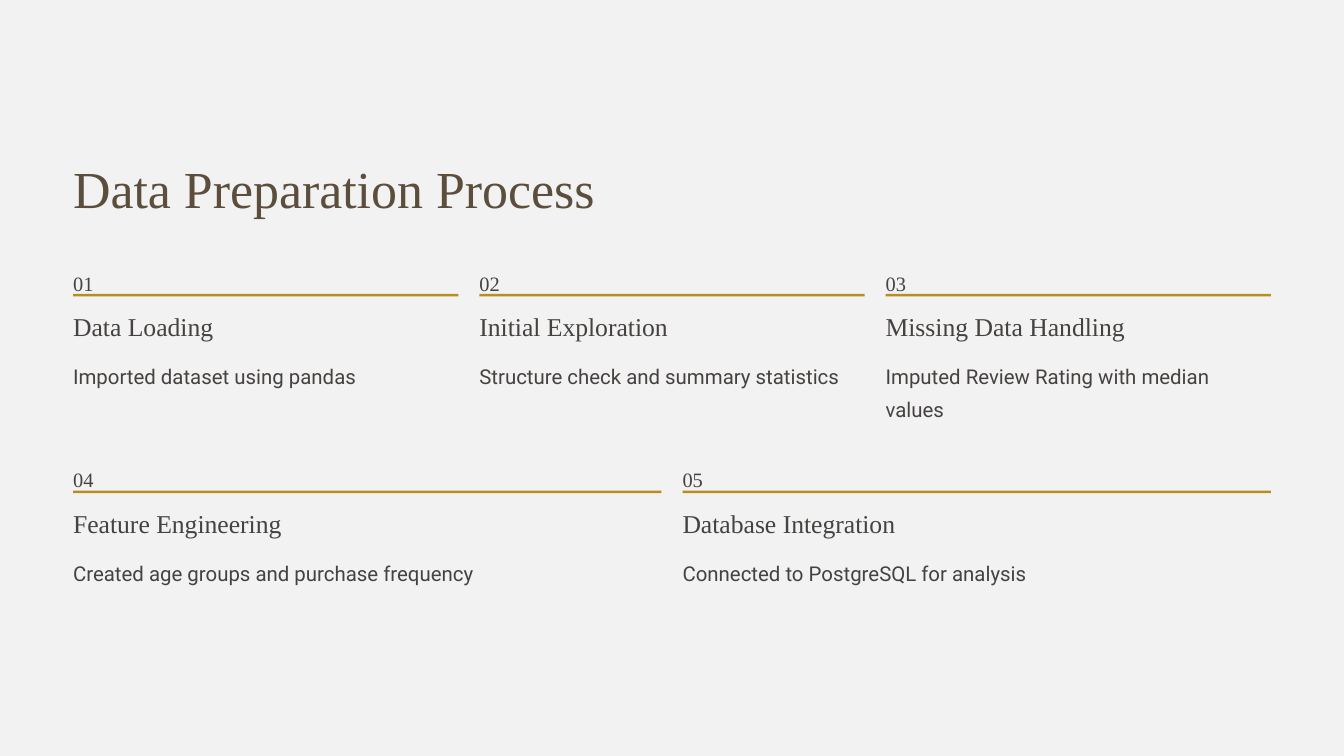
from pptx import Presentation
from pptx.dml.color import RGBColor
from pptx.enum.shapes import MSO_SHAPE
from pptx.enum.text import MSO_ANCHOR, MSO_AUTO_SIZE, PP_ALIGN
from pptx.util import Inches, Pt

TITLE = "Data Preparation Process"
ROWS = [
    [("01", "Data Loading", "Imported dataset using pandas"),
     ("02", "Initial Exploration", "Structure check and summary statistics"),
     ("03", "Missing Data Handling", "Imputed Review Rating with median values")],
    [("04", "Feature Engineering", "Created age groups and purchase frequency"),
     ("05", "Database Integration", "Connected to PostgreSQL for analysis")],
]
SERIF, SANS = "Times New Roman", "Roboto"
PAPER, BROWN, GREY, GOLD = "F2F2F2", "5C4E3D", "454240", "B88E23"
LEFT, TOP, WIDTH = 0.87, 3.12, 14.26
GAP, ROW_PITCH = 0.25, 2.34


def rgb(value):
    return RGBColor.from_string(value)


def write(sp, text, size, spacing, font=SERIF, color=GREY):
    tf = sp.text_frame
    tf.auto_size = MSO_AUTO_SIZE.NONE
    tf.word_wrap = True
    tf.vertical_anchor = MSO_ANCHOR.TOP
    tf.margin_left = tf.margin_right = tf.margin_top = tf.margin_bottom = 0
    p = tf.paragraphs[0]
    p.alignment = PP_ALIGN.LEFT
    p.line_spacing = Pt(spacing)
    r = p.add_run()
    r.text = text
    r.font.name, r.font.size = font, Pt(size)
    r.font.color.rgb = rgb(color)


def add_text(s, x, y, w, h, text, **fmt):
    box = s.shapes.add_textbox(Inches(x), Inches(y), Inches(w), Inches(h))
    write(box, text, **fmt)


def add_step(s, x, y, w, number, heading, detail):
    add_text(s, x, y, 0.25, 0.31, number, size=17.5, spacing=28.5)
    rule = s.shapes.add_shape(MSO_SHAPE.RECTANGLE, Inches(x), Inches(y + 0.38),
                              Inches(w), Inches(0.03))
    rule.shadow.inherit = False
    rule.fill.solid()
    rule.fill.fore_color.rgb = rgb(GOLD)
    rule.line.fill.background()
    add_text(s, x, y + 0.57, 3.62, 0.39, heading, size=22, spacing=27.5)
    add_text(s, x, y + 1.11, w, 0.79, detail, size=17.5, spacing=28.5, font=SANS)


def main():
    prs = Presentation()
    prs.slide_width, prs.slide_height = Inches(16), Inches(9)
    s = prs.slides.add_slide(prs.slide_layouts[5])
    s.background.fill.solid()
    s.background.fill.fore_color.rgb = rgb(PAPER)

    title = s.shapes.title
    title.left, title.top = Inches(LEFT), Inches(1.84)
    title.width, title.height = Inches(7.94), Inches(0.78)
    write(title, TITLE, size=44.5, spacing=55.5, color=BROWN)

    for i, steps in enumerate(ROWS):
        w = (WIDTH - GAP * (len(steps) - 1)) / len(steps)
        for j, step in enumerate(steps):
            add_step(s, LEFT + j * (w + GAP), TOP + i * ROW_PITCH, w, *step)
    prs.save("out.pptx")


if __name__ == "__main__":
    main()
